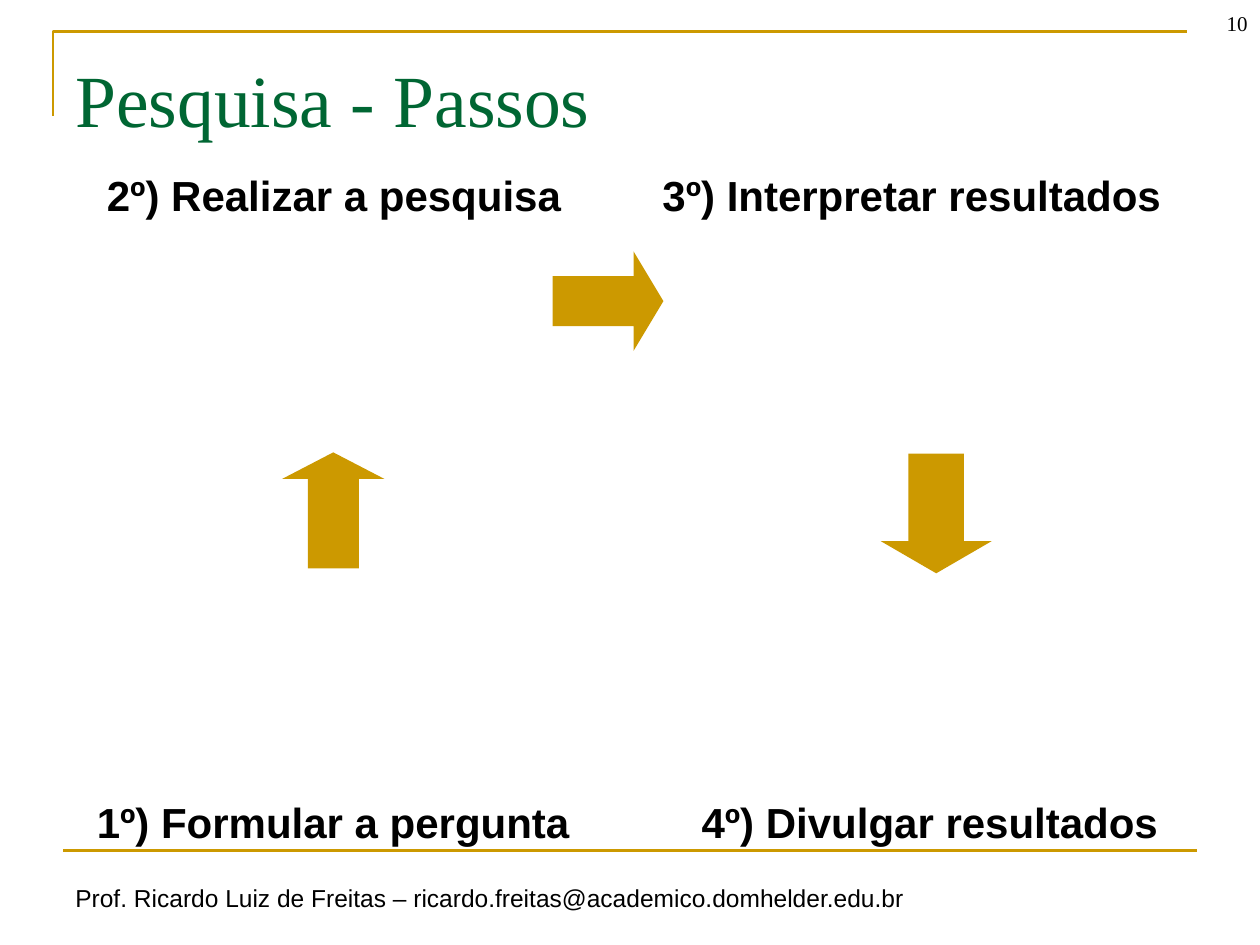
from lxml import etree
from pptx import Presentation
from pptx.dml.color import RGBColor
from pptx.enum.shapes import MSO_CONNECTOR, MSO_SHAPE
from pptx.enum.text import MSO_ANCHOR as Anchor, PP_ALIGN as Align
from pptx.oxml.ns import qn
from pptx.util import Inches, Pt

GOLD, GREEN, BLACK = "CC9900", "006633", "000000"

deck = Presentation()
deck.slide_width, deck.slide_height = Inches(10), Inches(7.5)
page = deck.slides.add_slide(deck.slide_layouts[6])
COLUMN, ROW = deck.slide_width / 100, deck.slide_height / 75


def place(left, top, width, height):
    return [round(n * unit) for n, unit in zip((left, top, width, height), (COLUMN, ROW) * 2)]


def add_text(area, text, size, font="Arial", color=BLACK, bold=False,
             wrap=True, align=Align.LEFT, anchor=Anchor.TOP):
    box = page.shapes.add_textbox(*place(*area))
    box.text_frame.word_wrap = wrap
    box.text_frame.vertical_anchor = anchor
    para = box.text_frame.paragraphs[0]
    para.alignment = align
    span = para.add_run()
    span.text = text
    span.font.size, span.font.name, span.font.bold = Pt(size), font, bold
    span.font.color.rgb = RGBColor.from_string(color)
    return box


left, top, right, bottom = place(4.2, 2.5, 94.2, 9.2)
corner = page.shapes.build_freeform(left, bottom)
corner.add_line_segments([(left, top), (right, top)], close=False)
frame = corner.convert_to_shape()
frame.fill.background()
frame.shadow.inherit = False

rule = page.shapes.add_connector(MSO_CONNECTOR.STRAIGHT, *place(5, 67.5, 95, 67.5))
etree.SubElement(rule.line._get_or_add_ln().getparent(), qn("a:effectLst"))
for stroke in (frame, rule):
    stroke.line.color.rgb = RGBColor.from_string(GOLD)
    stroke.line.width = Pt(1.5)

add_text((5, 69.6, 68.6, 3.4),
         "Prof. Ricardo Luiz de Freitas – ricardo.freitas@academico.domhelder.edu.br",
         14, wrap=False)
add_text((95, -1.7, 5, 5), "10", 12, "Times New Roman", align=Align.RIGHT, anchor=Anchor.BOTTOM)

for column, row, width, step in (
    (7.5, 13, 39.8, "2º) Realizar a pesquisa"),
    (6.7, 62.7, 39.9, "1º) Formular a pergunta"),
    (51.6, 13, 42, "3º) Interpretar resultados"),
    (54.7, 62.7, 38.6, "4º) Divulgar resultados"),
):
    add_text((column, row, width, 5), step, 24, bold=True, wrap=False)

for area, turn, head in (
    ((22.4, 35.9, 8.1, 9.2), 0, 0.26),
    ((44.3, 19.5, 7.9, 8.8), 90, 0.3),
    ((69.9, 36, 8.8, 9.5), 180, 0.29),
):
    arrow = page.shapes.add_shape(MSO_SHAPE.UP_ARROW, *place(*area))
    arrow.rotation = turn
    arrow.adjustments[0], arrow.adjustments[1] = 0.5, head
    arrow.fill.solid()
    arrow.fill.fore_color.rgb = RGBColor.from_string(GOLD)
    arrow.line.fill.background()
    arrow.shadow.inherit = False

title = add_text((5, 3, 90, 7.9), "Pesquisa - Passos", 42, "Times New Roman", GREEN)
title.text_frame.margin_top = Inches(0.13)

deck.save("out.pptx")
